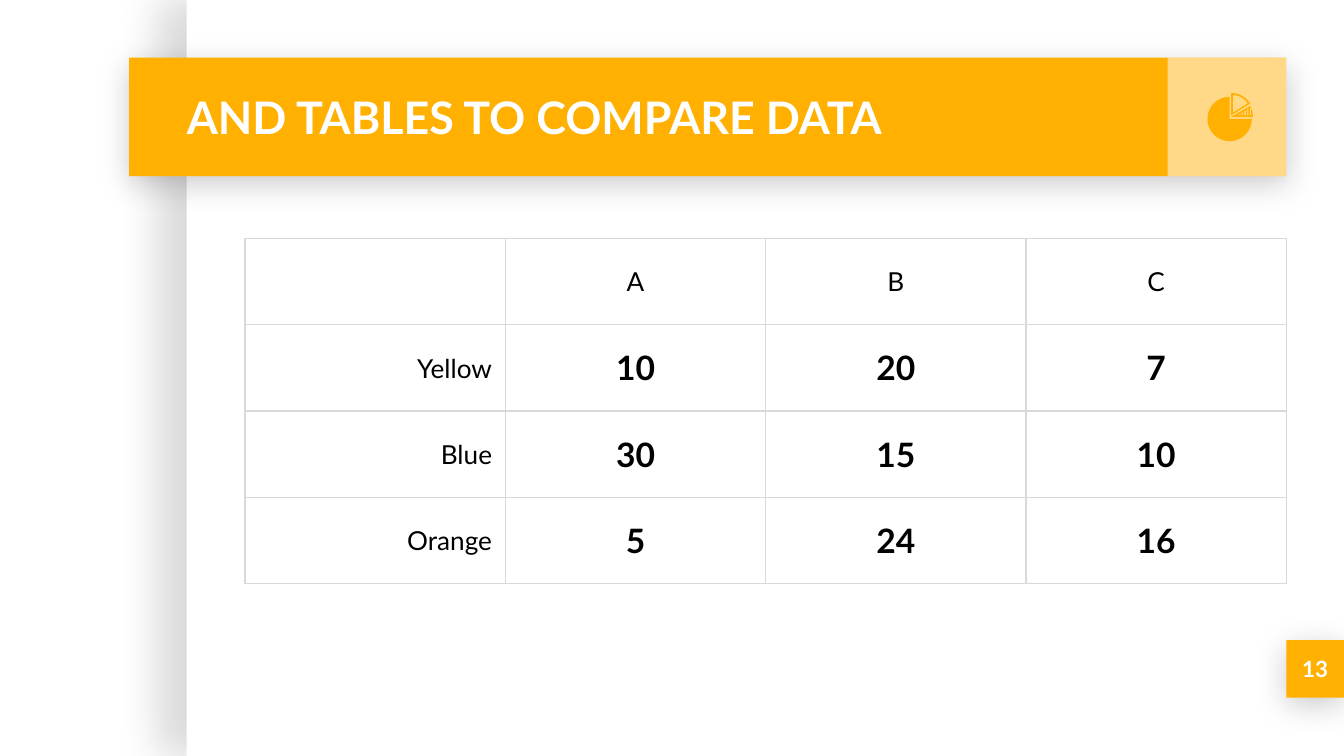
from dataclasses import dataclass
from math import cos, radians, sin

from lxml.etree import SubElement
from pptx import Presentation
from pptx.dml.color import RGBColor
from pptx.enum.shapes import MSO_SHAPE
from pptx.enum.text import MSO_ANCHOR, MSO_AUTO_SIZE, PP_ALIGN
from pptx.oxml.ns import qn
from pptx.util import Cm, Pt


@dataclass(frozen=True)
class Theme:
    font: str = "Lato"
    accent: RGBColor = RGBColor(0xFF, 0xB0, 0x00)
    white: RGBColor = RGBColor(0xFF, 0xFF, 0xFF)
    text: RGBColor = RGBColor(0, 0, 0)
    grid: RGBColor = RGBColor(0xD9, 0xD9, 0xD9)
    title_size: int = 24
    value_size: int = 18
    label_size: int = 14
    number_size: int = 12


THEME = Theme()
ROWS = [
    ["", "A", "B", "C"],
    ["Yellow", "10", "20", "7"],
    ["Blue", "30", "15", "10"],
    ["Orange", "5", "24", "16"],
]


def style_text(tf, text, size, color, align, bold=False):
    tf.text = text
    p = tf.paragraphs[0]
    p.alignment = align
    font = p.font
    font.name, font.size, font.bold = THEME.font, Pt(size), bold
    font.color.rgb = color


def paint(sp, color):
    sp.shadow.inherit = False
    sp.fill.solid()
    sp.fill.fore_color.rgb = color
    sp.line.fill.background()


def add_box(s, x, y, w, h, color):
    sp = s.shapes.add_shape(MSO_SHAPE.RECTANGLE, Cm(x), Cm(y), Cm(w), Cm(h))
    paint(sp, color)
    return sp


def set_opacity(color_element, percent):
    SubElement(color_element, qn("a:alpha"), val=str(percent * 1000))


def add_shadow(sp, opacity, blur, distance, angle):
    """Cast an outer shadow; blur and distance are in points."""
    effects = sp._element.spPr.find(qn("a:effectLst"))
    shadow = SubElement(effects, qn("a:outerShdw"), blurRad=str(Pt(blur)),
                        dist=str(Pt(distance)), dir=str(angle * 60000),
                        algn="ctr", rotWithShape="0")
    set_opacity(SubElement(shadow, qn("a:srgbClr"), val="000000"), opacity)


def add_title(s, text):
    title = s.shapes.title
    title.left, title.top, title.width, title.height = Cm(3.28), Cm(1.09), Cm(18.72), Cm(2.24)
    tf = title.text_frame
    tf.auto_size = MSO_AUTO_SIZE.NONE
    tf.vertical_anchor = MSO_ANCHOR.MIDDLE
    tf.margin_left = tf.margin_right = tf.margin_top = tf.margin_bottom = Cm(0.25)
    style_text(tf, text, THEME.title_size, THEME.white, PP_ALIGN.LEFT, True)


def add_page_number(s, number):
    badge = add_box(s, 24.31, 12.1, 1.09, 1.09, THEME.accent)
    add_shadow(badge, 20, 16.9, 3.8, 90)
    tf = badge.text_frame
    tf.vertical_anchor = MSO_ANCHOR.MIDDLE
    tf.margin_left = tf.margin_right = Cm(0.25)
    style_text(tf, number, THEME.number_size, THEME.white, PP_ALIGN.CENTER, True)


def set_borders(cell):
    tc_pr = cell._tc.get_or_add_tcPr()
    for side in ("lnL", "lnR", "lnT", "lnB"):
        line = SubElement(tc_pr, qn(f"a:{side}"), w=str(Pt(0.75)))
        fill = SubElement(line, qn("a:solidFill"))
        SubElement(fill, qn("a:srgbClr"), val=str(THEME.grid))


def add_data_table(s, rows):
    n_rows, n_cols = len(rows), len(rows[0])
    col_w, row_h = Cm(4.92), Cm(1.63)
    table = s.shapes.add_table(n_rows, n_cols, Cm(4.63), Cm(4.51),
                               col_w * n_cols, row_h * n_rows).table
    table.first_row = table.horz_banding = False
    for column in table.columns:
        column.width = col_w
    for i, row in enumerate(rows):
        table.rows[i].height = row_h
        for j, text in enumerate(row):
            cell = table.cell(i, j)
            set_borders(cell)
            cell.fill.background()
            cell.vertical_anchor = MSO_ANCHOR.MIDDLE
            cell.margin_left = cell.margin_right = Cm(0.25)
            cell.margin_top = cell.margin_bottom = Cm(0.18)
            is_value = i > 0 and j > 0
            size = THEME.value_size if is_value else THEME.label_size
            align = PP_ALIGN.CENTER if j else PP_ALIGN.RIGHT
            style_text(cell.text_frame, text, size, THEME.text, align, is_value)


def sector(cx, cy, radius, start, end, steps=24):
    """Points of a pie sector, with angles clockwise from the right."""
    angles = [radians(start + (end - start) * i / steps) for i in range(steps + 1)]
    return [(cx, cy)] + [(cx + radius * cos(a), cy + radius * sin(a)) for a in angles]


def add_outline(s, *contours):
    """Draw one freeform; contours after the first are holes."""
    paths = [[(Cm(x), Cm(y)) for x, y in contour] for contour in contours]
    builder = s.shapes.build_freeform(*paths[0][0])
    for i, points in enumerate(paths):
        if i:
            builder.move_to(*points[0])
        builder.add_line_segments(points[1:], close=True)
    paint(builder.convert_to_shape(), THEME.accent)


def add_pie_icon(s):
    add_outline(s, sector(23.24, 2.25, 0.42, 0, 270))
    x, y = 23.27, 2.21
    slots = []
    for i in range(6):
        left = x + 0.1 + 0.05 * i
        right = left + 0.025
        tops = [y + 0.03 - 0.57 * (edge - x) for edge in (left, right)]
        slots.append([(left, tops[0]), (right, tops[1]), (right, y - 0.03), (left, y - 0.03)])
    add_outline(s, sector(x, y, 0.41, -30, 0), *slots)
    add_outline(s, sector(x, 2.18, 0.42, -90, -32), sector(23.3, 2.13, 0.33, -90, -32))


def main():
    prs = Presentation()
    prs.slide_width, prs.slide_height = Cm(25.4), Cm(14.29)
    s = prs.slides.add_slide(prs.slide_layouts[5])

    panel = add_box(s, 3.53, 0, 21.87, 14.29, THEME.white)
    add_shadow(panel, 15, 22.5, 15, 180)
    banner = add_box(s, 2.44, 1.09, 21.87, 2.24, THEME.accent)
    add_shadow(banner, 20, 16.9, 3.8, 90)
    icon_tile = add_box(s, 22.07, 1.09, 2.24, 2.24, THEME.white)
    set_opacity(icon_tile._element.spPr.find(qn("a:solidFill"))[0], 53)

    title = s.shapes.title._element
    title.getparent().append(title)
    add_title(s, "AND TABLES TO COMPARE DATA")
    add_data_table(s, ROWS)
    add_page_number(s, "13")
    add_pie_icon(s)
    prs.save("out.pptx")


if __name__ == "__main__":
    main()
